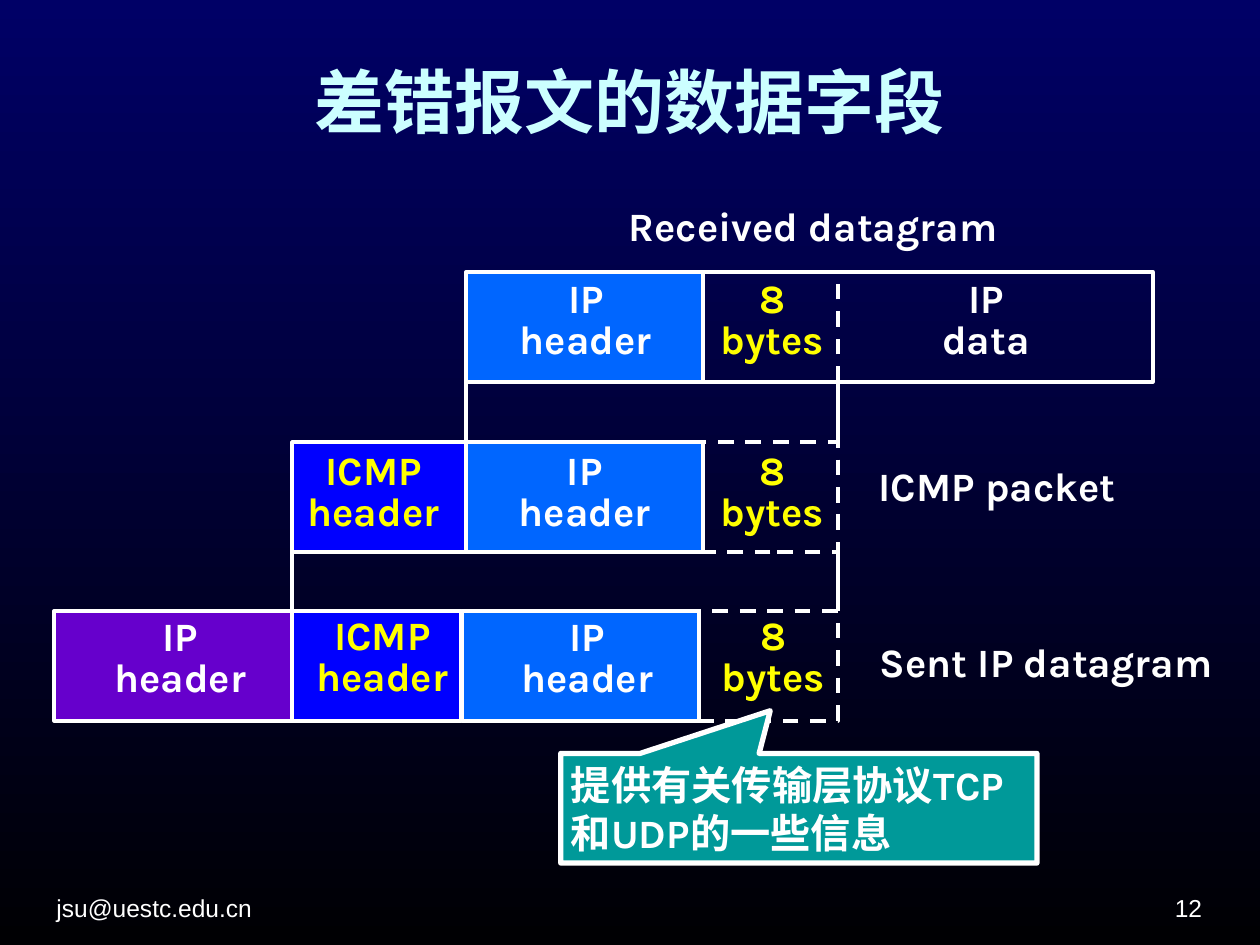
from lxml import etree
from pptx import Presentation
from pptx.dml.color import RGBColor
from pptx.enum.dml import MSO_LINE
from pptx.enum.shapes import MSO_CONNECTOR, MSO_SHAPE
from pptx.enum.text import MSO_ANCHOR, PP_ALIGN
from pptx.oxml.ns import qn
from pptx.util import Inches, Pt

RECT, CALLOUT = MSO_SHAPE.RECTANGLE, MSO_SHAPE.RECTANGULAR_CALLOUT
LEFT, CENTER, RIGHT = PP_ALIGN.LEFT, PP_ALIGN.CENTER, PP_ALIGN.RIGHT
TOP, MIDDLE, BOTTOM = MSO_ANCHOR.TOP, MSO_ANCHOR.MIDDLE, MSO_ANCHOR.BOTTOM
DASH = MSO_LINE.DASH

WHITE, YELLOW = "FFFFFF", "FFFF00"
BLUE, SKY, PURPLE, TEAL = "0000FF", "0066FF", "6600CC", "009999"
HIGH = 0.87
ROWS = [2.16, 3.51, 4.85]

# row, left, width, fill, dash
CELLS = [
    (1, 2.32, 1.39, BLUE, None),
    (2, 2.32, 1.34, BLUE, None),
    (0, 3.7, 1.88, SKY, None),
    (1, 3.7, 1.88, SKY, None),
    (2, 3.67, 1.88, SKY, None),
    (2, 0.43, 1.89, PURPLE, None),
    (0, 5.58, 3.57, None, None),
    (1, 5.58, 1.07, None, DASH),
    (2, 5.55, 1.1, None, DASH),
]
# text, width, colour, (left, top) of each use
LABELS = [
    ("IP header", 1.18, WHITE, [(4.06, 2.18), (4.05, 3.54), (4.07, 4.86), (0.84, 4.86)]),
    ("8 bytes", 0.86, YELLOW, [(5.7, 2.18), (5.7, 3.54), (5.71, 4.85)]),
    ("ICMP header", 1.13, YELLOW, [(2.4, 3.54), (2.47, 4.85)]),
    ("IP data", 0.81, WHITE, [(7.42, 2.18)]),
]
# text, left, top, width
NAMES = [
    ("Received datagram", 4.6, 1.55, 3.71),
    ("ICMP packet", 6.81, 3.61, 2.21),
    ("Sent IP datagram", 6.81, 5.01, 2.99),
]
# x, upper row of the gap that the line spans
LINKS = [(2.32, 1), (3.7, 0), (6.65, 0), (6.65, 1)]
# text, left, alignment
FOOT = [("jsu@uestc.edu.cn", 0.35, LEFT), ("12", 7.31, RIGHT)]


def rgb(code):
    return RGBColor.from_string(code)


def write(shape, text, size, font, color, align=CENTER, anchor=TOP, pad=0.0, space=None, bold=True):
    frame = shape.text_frame
    frame.word_wrap = True
    frame.vertical_anchor = anchor
    frame.margin_left = frame.margin_right = Inches(pad)
    frame.text = text
    para = frame.paragraphs[0]
    para.alignment = align
    para.line_spacing = space
    para.font.size = Pt(size)
    para.font.name = font
    para.font.bold = bold
    para.font.color.rgb = rgb(color)


def label(text, x, y, w, h, color=WHITE, space=None):
    box = slide.shapes.add_textbox(Inches(x), Inches(y), Inches(w), Inches(h))
    write(box, text, 23, "Karla", color, space=space)


def stroke(line, width=2.25, dash=None):
    line.color.rgb = rgb(WHITE)
    line.width = Pt(width)
    if dash:
        line.dash_style = dash


def block(kind, x, y, w, fill, width=2.25, dash=None):
    shape = slide.shapes.add_shape(kind, Inches(x), Inches(y), Inches(w), Inches(HIGH))
    shape.shadow.inherit = False
    if fill:
        shape.fill.solid()
        shape.fill.fore_color.rgb = rgb(fill)
    else:
        shape.fill.background()
    stroke(shape.line, width, dash)
    return shape


def rule(x, y1, y2, dash=None):
    """Draw a vertical line."""
    line = slide.shapes.add_connector(
        MSO_CONNECTOR.STRAIGHT, Inches(x), Inches(y1), Inches(x), Inches(y2))
    etree.SubElement(line._element.spPr, qn("a:effectLst"))
    stroke(line.line, dash=dash)


deck = Presentation()
deck.slide_width, deck.slide_height = Inches(10), Inches(7.5)
slide = deck.slides.add_slide(deck.slide_layouts[5])

back = slide.background.fill
back.gradient()
back.gradient_angle = 270
for stop, code in zip(back.gradient_stops, ("000066", "000003")):
    stop.color.rgb = rgb(code)

title = slide.shapes.title
title.left, title.top = Inches(0.35), Inches(0.13)
title.width, title.height = Inches(9.29), Inches(1.34)
write(title, "差错报文的数据字段", 40, "Roboto", "CCFFFF", anchor=MIDDLE, pad=0.1)

for text, x, align in FOOT:
    box = slide.shapes.add_textbox(Inches(x), Inches(6.9), Inches(2.33), Inches(0.47))
    write(box, text, 14, "Arial", WHITE, align, BOTTOM, 0.1, bold=False)

for row, x, w, fill, dash in CELLS:
    block(RECT, x, ROWS[row], w, fill, dash=dash)
for text, w, color, spots in LABELS:
    for x, y in spots:
        label(text, x, y, w, 0.75, color, 0.85)
for text, x, y, w in NAMES:
    label(text, x, y, w, 0.49)

for x, row in LINKS:
    rule(x, ROWS[row] + HIGH, ROWS[row + 1])
rule(6.65, ROWS[0] + HIGH, ROWS[0], DASH)

note = block(CALLOUT, 4.45, 5.98, 3.78, TEAL, 3)
note.adjustments[0], note.adjustments[1] = -0.06, -0.89
write(note, "提供有关传输层协议TCP和UDP的一些信息", 23, "Karla", WHITE, LEFT, MIDDLE, 0.08)

deck.save("out.pptx")
